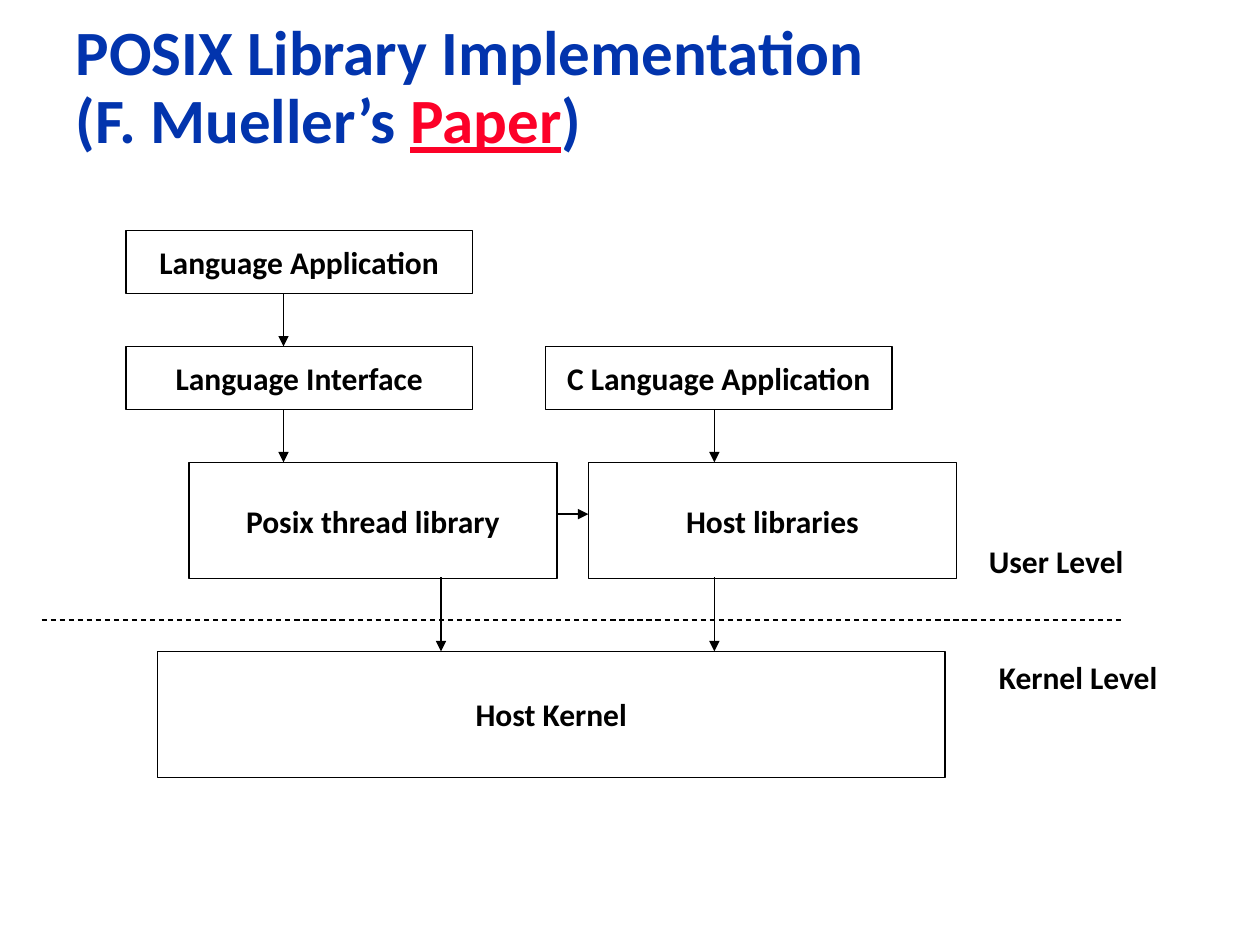
from lxml.etree import SubElement
from pptx import Presentation
from pptx.dml.color import RGBColor
from pptx.enum.dml import MSO_LINE
from pptx.enum.shapes import MSO_CONNECTOR, MSO_SHAPE
from pptx.enum.text import MSO_ANCHOR, MSO_AUTO_SIZE, PP_ALIGN
from pptx.oxml.ns import qn
from pptx.util import Inches, Pt

BLACK = RGBColor(0x00, 0x00, 0x00)
BLUE = RGBColor(0x02, 0x34, 0xAD)
RED = RGBColor(0xFC, 0x01, 0x28)

presentation = Presentation()
presentation.slide_width = Inches(10)
presentation.slide_height = Inches(7.5)
slide = presentation.slides.add_slide(presentation.slide_layouts[5])


def style(paragraph, size, color):
    paragraph.font.name = "Calibri"
    paragraph.font.size = Pt(size)
    paragraph.font.bold = True
    paragraph.font.color.rgb = color


def add_line(x1, y1, x2, y2):
    line = slide.shapes.add_connector(
        MSO_CONNECTOR.STRAIGHT, Inches(x1), Inches(y1), Inches(x2), Inches(y2))
    line.line.color.rgb = BLACK
    line.line.width = Pt(0.75)
    SubElement(line._element.spPr, qn("a:effectLst"))
    return line


title = slide.shapes.title
title.left, title.top = Inches(0.5), Inches(0.42)
title.width, title.height = Inches(9.22), Inches(0.58)
title.text_frame.auto_size = MSO_AUTO_SIZE.NONE
title.text_frame.vertical_anchor = MSO_ANCHOR.MIDDLE
heading = title.text_frame.paragraphs[0]
heading.text = "POSIX Library Implementation\v(F. Mueller’s "
heading.alignment = PP_ALIGN.LEFT
heading.line_spacing = 0.9
style(heading, 36, BLUE)
paper = heading.add_run()
paper.text = "Paper"
paper.font.color.rgb = RED
paper.font.underline = True
heading.add_run().text = ")"

components = [
    ("Language Application", 1, 1.83, 2.75, 0.5),
    ("Language Interface", 1, 2.75, 2.75, 0.5),
    ("C Language Application", 4.33, 2.75, 2.75, 0.5),
    ("Posix thread library", 1.5, 3.67, 2.92, 0.92),
    ("Host Kernel", 1.25, 5.17, 6.25, 1),
    ("Host libraries", 4.67, 3.67, 2.92, 0.92),
]
for name, left, top, width, height in components:
    component = slide.shapes.add_shape(
        MSO_SHAPE.RECTANGLE, Inches(left), Inches(top), Inches(width), Inches(height))
    component.shadow.inherit = False
    component.fill.background()
    component.line.color.rgb = BLACK
    component.line.width = Pt(0.75)
    component.text_frame.word_wrap = False
    component.text_frame.vertical_anchor = MSO_ANCHOR.MIDDLE
    caption = component.text_frame.paragraphs[0]
    caption.text = name
    caption.alignment = PP_ALIGN.CENTER
    style(caption, 18, BLACK)

calls = [
    (2.25, 2.33, 2.25, 2.75),
    (2.25, 3.25, 2.25, 3.67),
    (5.67, 3.25, 5.67, 3.67),
    (4.42, 4.08, 4.67, 4.08),
    (3.5, 4.58, 3.5, 5.17),
    (5.67, 4.58, 5.67, 5.17),
]
for ends in calls:
    call = add_line(*ends)
    SubElement(call.line._get_or_add_ln(), qn("a:tailEnd"), type="triangle")

boundary = add_line(0.33, 4.92, 8.92, 4.92)
boundary.line.dash_style = MSO_LINE.DASH

levels = [("User Level", 7.75, 4.25, 1.28), ("Kernel Level", 7.83, 5.17, 1.47)]
for name, left, top, width in levels:
    level = slide.shapes.add_textbox(Inches(left), Inches(top), Inches(width), Inches(0.4))
    level.text_frame.word_wrap = False
    level.text_frame.auto_size = MSO_AUTO_SIZE.SHAPE_TO_FIT_TEXT
    label = level.text_frame.paragraphs[0]
    label.text = name
    style(label, 18, BLACK)

presentation.save("out.pptx")
